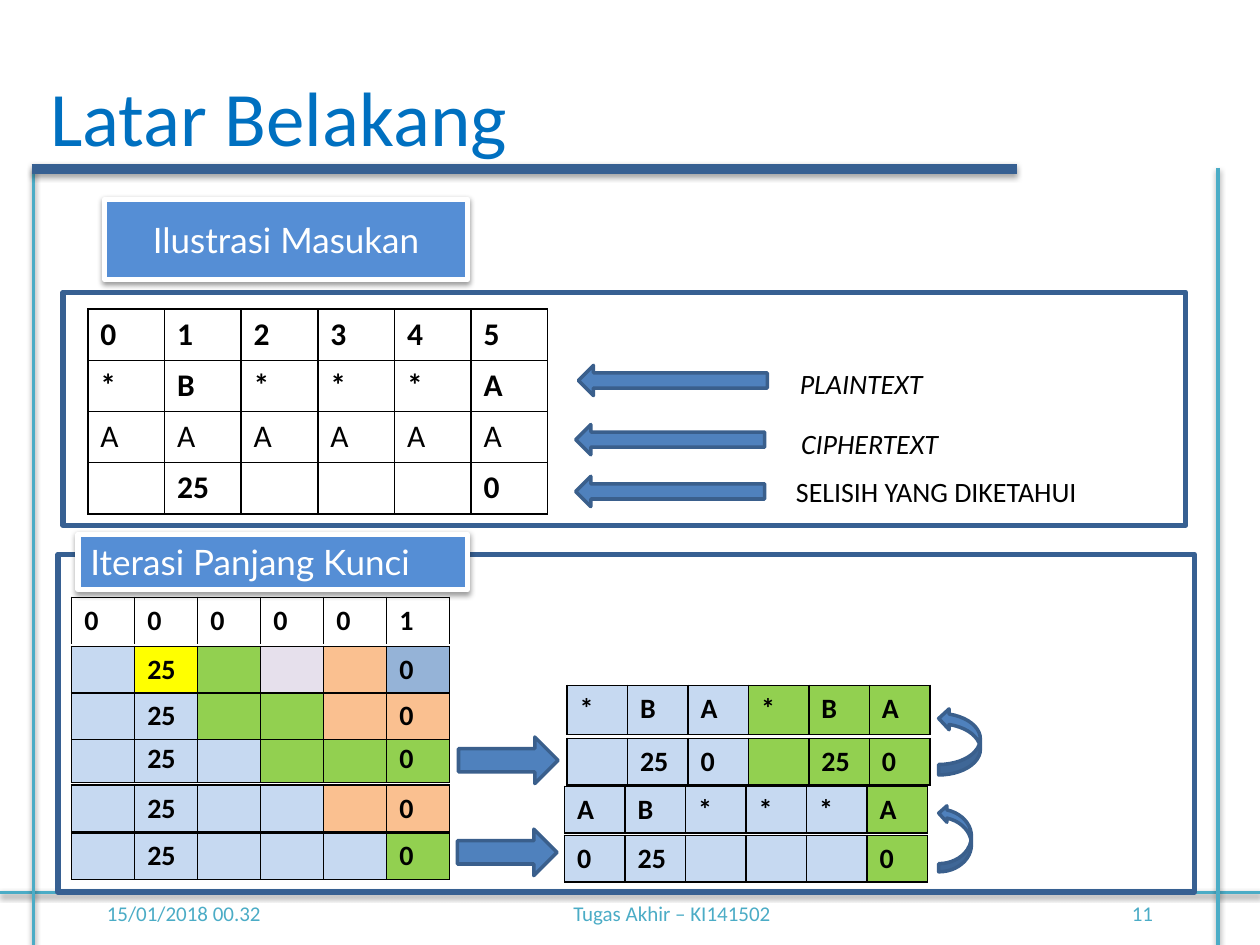
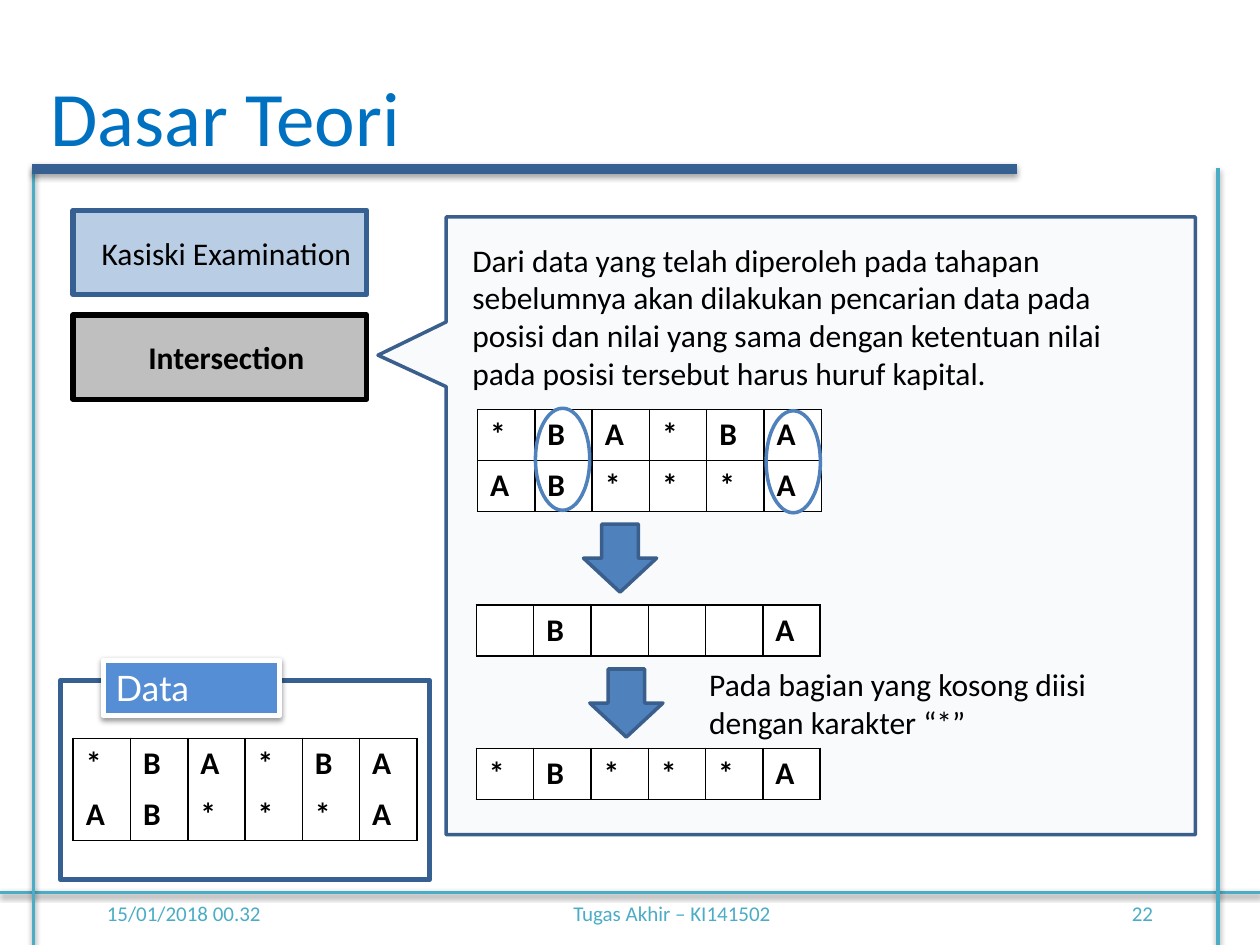
from dataclasses import dataclass

from lxml.etree import SubElement
from pptx import Presentation
from pptx.dml.color import RGBColor
from pptx.enum.shapes import MSO_CONNECTOR, MSO_SHAPE
from pptx.enum.text import MSO_ANCHOR, MSO_AUTO_SIZE, PP_ALIGN
from pptx.oxml.ns import qn
from pptx.util import Pt

BLACK = RGBColor(0, 0, 0)
WHITE = RGBColor(0xFF, 0xFF, 0xFF)
TEAL = RGBColor(0x4B, 0xAC, 0xC6)
NAVY = RGBColor(0x37, 0x60, 0x92)
STEEL = RGBColor(0x3A, 0x5F, 0x8C)
BLUE = RGBColor(0x4F, 0x81, 0xBD)
LABEL = RGBColor(0x55, 0x8E, 0xD5)
TITLE = RGBColor(0x00, 0x70, 0xC0)
PALE = RGBColor(0xB9, 0xCD, 0xE5)
GRAY = RGBColor(0xBF, 0xBF, 0xBF)
MIST = RGBColor(0xDC, 0xE6, 0xF2)

# One letter per cell colour; a dot leaves the cell clear.
FILLS = {
    "w": WHITE,
    "b": RGBColor(0xC6, 0xD9, 0xF1),
    "g": RGBColor(0x92, 0xD0, 0x50),
    "o": RGBColor(0xFA, 0xC0, 0x90),
    "y": RGBColor(0xFF, 0xFF, 0x00),
    "v": RGBColor(0xE6, 0xE0, 0xEC),
    "d": RGBColor(0x95, 0xB3, 0xD7),
}
EDGES = {"l": "a:lnL", "r": "a:lnR", "t": "a:lnT", "b": "a:lnB"}
COLS = 6
LEFT, MID, RIGHT = PP_ALIGN.LEFT, PP_ALIGN.CENTER, PP_ALIGN.RIGHT


@dataclass
class Box:
    """A place on the slide, in points."""
    x: float
    y: float
    w: float
    h: float

    def place(self) -> tuple:
        """Return the four lengths that python-pptx asks for."""
        return Pt(self.x), Pt(self.y), Pt(self.w), Pt(self.h)


@dataclass
class Font:
    """The look of a run."""
    size: float = 18
    color: RGBColor = BLACK
    name: str = "Calibri"
    bold: bool = False
    italic: bool = False


@dataclass
class Grid:
    """A six-column table; an underscore marks an empty cell."""
    x: float
    y: float
    rows: list
    fills: str = "......"
    edges: str = "lrtb"
    w: float = 196.6
    h: float = 29.2
    size: float = 18
    plain: int = -1


FOOT = Font(12, TEAL)
HEAD = Font(20, WHITE, "Lato")


def write(frame, text: str, font: Font, align=LEFT) -> None:
    """Put one formatted paragraph in a text frame."""
    frame.text = text
    line = frame.paragraphs[0]
    line.alignment = align
    for run in line.runs:
        run.font.size, run.font.name = Pt(font.size), font.name
        run.font.bold, run.font.italic = font.bold, font.italic
        run.font.color.rgb = font.color


def shade(shape, alpha: int = 0) -> None:
    """Replace the theme shadow by a soft one, or by none."""
    list_ = SubElement(shape._element.spPr, qn("a:effectLst"))
    if alpha:
        outer = SubElement(list_, qn("a:outerShdw"), blurRad="40000",
                           dist="20000", dir="5400000", rotWithShape="0")
        tint = SubElement(outer, qn("a:srgbClr"), val="000000")
        SubElement(tint, qn("a:alpha"), val=str(alpha * 1000))


def paint(shape, fill, line: RGBColor, width: float, alpha: int = 0) -> None:
    """Set fill, line and shadow of a shape."""
    if fill is None:
        shape.fill.background()
    else:
        shape.fill.solid()
        shape.fill.fore_color.rgb = fill
    shape.line.color.rgb = line
    shape.line.width = Pt(width)
    shade(shape, alpha)


def draw(slide, kind, box: Box, fill=BLUE, line=STEEL, width=2, alpha=0):
    """Add a preset shape."""
    shape = slide.shapes.add_shape(kind, *box.place())
    paint(shape, fill, line, width, alpha)
    return shape


def frame(slide, box: Box) -> None:
    """Add an empty outlined panel."""
    draw(slide, MSO_SHAPE.RECTANGLE, box, None, NAVY, 3)


def label(slide, box: Box, text: str, align=LEFT) -> None:
    """Add a blue heading with a white rim."""
    shape = draw(slide, MSO_SHAPE.RECTANGLE, box, LABEL, WHITE, 3, 38)
    shape.text_frame.vertical_anchor = MSO_ANCHOR.MIDDLE
    write(shape.text_frame, text, HEAD, align)
    shape.text_frame.paragraphs[0].space_after = Pt(3)


def topic(slide, y: float, text: str, fill, line, bold: bool) -> None:
    """Add a box that names a method."""
    shape = draw(slide, MSO_SHAPE.RECTANGLE, Box(41.8, y, 167.8, 48.2),
                 fill, line, 3)
    shape.text_frame.margin_left = Pt(14.4)
    shape.text_frame.vertical_anchor = MSO_ANCHOR.MIDDLE
    write(shape.text_frame, text, Font(bold=bold), MID)


def note(slide, box: Box, text: str, font: Font, align=LEFT,
         anchor=MSO_ANCHOR.TOP) -> None:
    """Add a wrapped text box."""
    shape = slide.shapes.add_textbox(*box.place())
    shape.text_frame.word_wrap = True
    shape.text_frame.vertical_anchor = anchor
    write(shape.text_frame, text, font, align)


def rule(slide, x1: float, y1: float, x2: float, y2: float,
         color=TEAL, width=2, alpha=38) -> None:
    """Add a straight line with a shadow."""
    line = slide.shapes.add_connector(MSO_CONNECTOR.STRAIGHT, Pt(x1), Pt(y1),
                                      Pt(x2), Pt(y2))
    line.line.color.rgb = color
    line.line.width = Pt(width)
    shade(line, alpha)


def edge(cell, sides: str) -> None:
    """Draw the named sides of a cell in black and clear the rest."""
    props = cell._tc.get_or_add_tcPr()
    for spot, (side, tag) in enumerate(EDGES.items()):
        line = props.makeelement(qn(tag), {"w": "12700"})
        props.insert(spot, line)
        if side in sides:
            fill = SubElement(line, qn("a:solidFill"))
            SubElement(fill, qn("a:srgbClr"), val=str(BLACK))
        else:
            SubElement(line, qn("a:noFill"))


def table(slide, grid: Grid) -> None:
    """Add a table of letters or numbers."""
    count = len(grid.rows)
    box = Box(grid.x, grid.y, grid.w, grid.h * count)
    body = slide.shapes.add_table(count, COLS, *box.place()).table
    body.first_row = body.horz_banding = False
    for col in body.columns:
        col.width = Pt(grid.w / COLS)
    for i, row in enumerate(grid.rows):
        body.rows[i].height = Pt(grid.h)
        for j, (text, code) in enumerate(zip(row.split(), grid.fills)):
            cell = body.cell(i, j)
            if text == "_":
                SubElement(cell.text_frame.paragraphs[0]._p,
                           qn("a:endParaRPr"), sz=str(grid.size * 100))
            else:
                write(cell.text_frame, text,
                      Font(grid.size, bold=i != grid.plain))
            if code in FILLS:
                cell.fill.solid()
                cell.fill.fore_color.rgb = FILLS[code]
            else:
                cell.fill.background()
            edge(cell, grid.edges)


def start(deck, title: str, width: float, page: int):
    """Add a slide with its title, rules and footer."""
    slide = deck.slides.add_slide(deck.slide_layouts[5])
    for x, w, text, align in ((54, 150, "15/01/2018 00.32", LEFT),
                              (270, 228, "Tugas Akhir – KI141502", MID),
                              (516, 150, str(page), RIGHT)):
        note(slide, Box(x, 504, w, 36), text, FOOT, align, MSO_ANCHOR.MIDDLE)
    rule(slide, 0, 510, 720, 510)
    rule(slide, 19.2, 96, 19.2, 540)
    rule(slide, 696, 96, 696, 540)
    head = slide.shapes.title
    head.left, head.top, head.width, head.height = Box(
        21.6, 36, width, 60.6).place()
    head.text_frame.word_wrap = False
    head.text_frame.auto_size = MSO_AUTO_SIZE.SHAPE_TO_FIT_TEXT
    head.text_frame.vertical_anchor = MSO_ANCHOR.TOP
    write(head.text_frame, title, Font(44, TITLE))
    rule(slide, 18, 96.6, 581, 96.6, NAVY, 6, 35)
    return slide


def intro(deck) -> None:
    """Build the slide on the input and the key length."""
    slide = start(deck, "Latar Belakang", 278, 11)
    label(slide, Box(59.8, 113.8, 207.4, 46), "Ilustrasi Masukan", MID)
    frame(slide, Box(36, 167, 641.5, 133.2))
    for y, rows, edges, plain in (
            (206, ["* B * * * A", "A A A A A A"], "lrtb", 1),
            (264.4, ["_ 25 _ _ _ 0"], "lrb", -1),
            (176.6, ["0 1 2 3 4 5"], "lrt", -1)):
        table(slide, Grid(50.2, y, rows, edges=edges, w=262.8, plain=plain))
    for x, y, left, top, text, slant in (
            (330.5, 208.8, 450, 206, "PLAINTEXT", True),
            (329, 242.6, 450.7, 240.5, "CIPHERTEXT", True),
            (329, 272.2, 447.8, 267.8, "SELISIH YANG DIKETAHUI", False)):
        draw(slide, MSO_SHAPE.LEFT_ARROW, Box(x, y, 108, 17.3))
        note(slide, Box(left, top, 210, 26.6), text, Font(16, italic=slant))

    frame(slide, Box(33.1, 316.8, 649.4, 193))
    label(slide, Box(44.6, 305.3, 222.5, 31.7), "Iterasi Panjang Kunci")
    for y, row, fills, edges in (
            (341.3, "0 0 0 0 0 1", "......", "lrt"),
            (448.6, "_ 25 _ _ _ 0", "bbbboo", "lrtb"),
            (420.5, "_ 25 _ _ _ 0", "bbbggg", "lrtb"),
            (396, "_ 25 _ _ _ 0", "bbggoo", "lrtb"),
            (369.4, "_ 25 _ _ _ 0", "bygvod", "lrtb"),
            (475.9, "_ 25 _ _ _ 0", "bbbbbg", "lrtb")):
        table(slide, Grid(41, y, [row], fills, edges, 216, 26.6, 16))
    for x, y, row, fills, high in (
            (324, 421.9, "_ 25 0 _ 25 0", "bbbggg", 26.6),
            (324, 391.7, "* B A * B A", "bbbggg", 28.1),
            (322.6, 477.4, "0 25 _ _ _ 0", "bbbbbg", 26.6),
            (322.6, 449.3, "A B * * * A", "bbbbbg", 26.6)):
        table(slide, Grid(x, y, [row], fills, w=207.4, h=high, size=16))
    for x, y in ((262, 421.2), (261.4, 473.8)):
        draw(slide, MSO_SHAPE.RIGHT_ARROW, Box(x, y, 56.9, 26.6))
    for y, w in ((404.6, 23.8), (460, 18.7)):
        bend = draw(slide, MSO_SHAPE.CURVED_RIGHT_ARROW,
                    Box(536.4, y, w, 38.2))
        bend.rotation = 180


def speech(slide) -> None:
    """Draw the pale callout that points at the second method."""
    pen = slide.shapes.build_freeform(683, 124, scale=Pt(1))
    pen.add_line_segments([(683, 477), (255, 477), (255, 221), (216, 203),
                           (255, 184), (255, 124)], close=True)
    shape = pen.convert_to_shape()
    paint(shape, MIST, STEEL, 2)
    tint = shape._element.spPr.find(qn("a:solidFill"))[0]
    SubElement(tint, qn("a:alpha"), val="20000")


def theory(deck) -> None:
    """Build the slide on the intersection step."""
    slide = start(deck, "Dasar Teori", 216.7, 22)
    frame(slide, Box(34.6, 388.8, 211, 113.8))
    label(slide, Box(59, 377.3, 100.8, 31.7), "Data")
    speech(slide)
    note(slide, Box(262.8, 133.9, 409, 94.3),
         "Dari data yang telah diperoleh pada tahapan sebelumnya akan "
         "dilakukan pencarian data pada posisi dan nilai yang sama dengan "
         "ketentuan nilai pada posisi tersebut harus huruf kapital.", Font())
    topic(slide, 180, "Intersection", GRAY, BLACK, True)
    topic(slide, 120.2, "Kasiski Examination", PALE, NAVY, False)
    first, second = "* B A * B A", "A B * * * A"
    for x, y, row, edges in (
            (41.8, 421.9, first, "lrt"), (41.8, 451.1, second, "lrb"),
            (272.9, 234, first, "lrtb"), (272.9, 263.2, second, "lrb"),
            (272.2, 345.6, "_ B _ _ _ A", "lrtb"),
            (272.2, 427.7, "* B * * * A", "lrtb")):
        table(slide, Grid(x, y, [row], "wwwwww", edges))
    for x, y in ((333.4, 299.5), (337, 382.3)):
        draw(slide, MSO_SHAPE.DOWN_ARROW, Box(x, y, 41.8, 38.9))
    note(slide, Box(398.2, 376.6, 275.8, 51.1),
         "Pada bagian yang kosong diisi dengan karakter “*”", Font())
    for x, y in ((306, 233.3), (437.8, 234.7)):
        draw(slide, MSO_SHAPE.OVAL, Box(x, y, 31, 58.3), None, BLUE)


def main() -> None:
    """Build and save both slides."""
    deck = Presentation()
    deck.slide_width, deck.slide_height = Pt(720), Pt(540)
    intro(deck)
    theory(deck)
    deck.save("out.pptx")


main()
